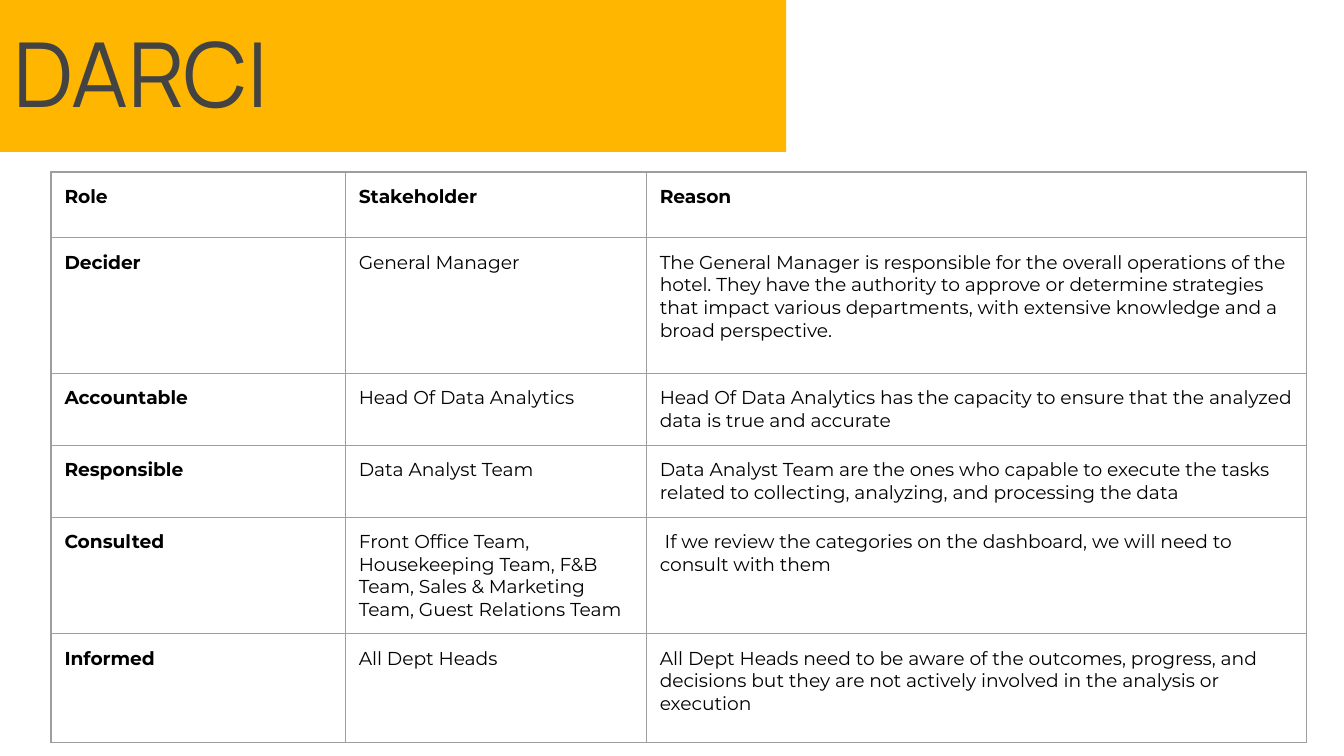
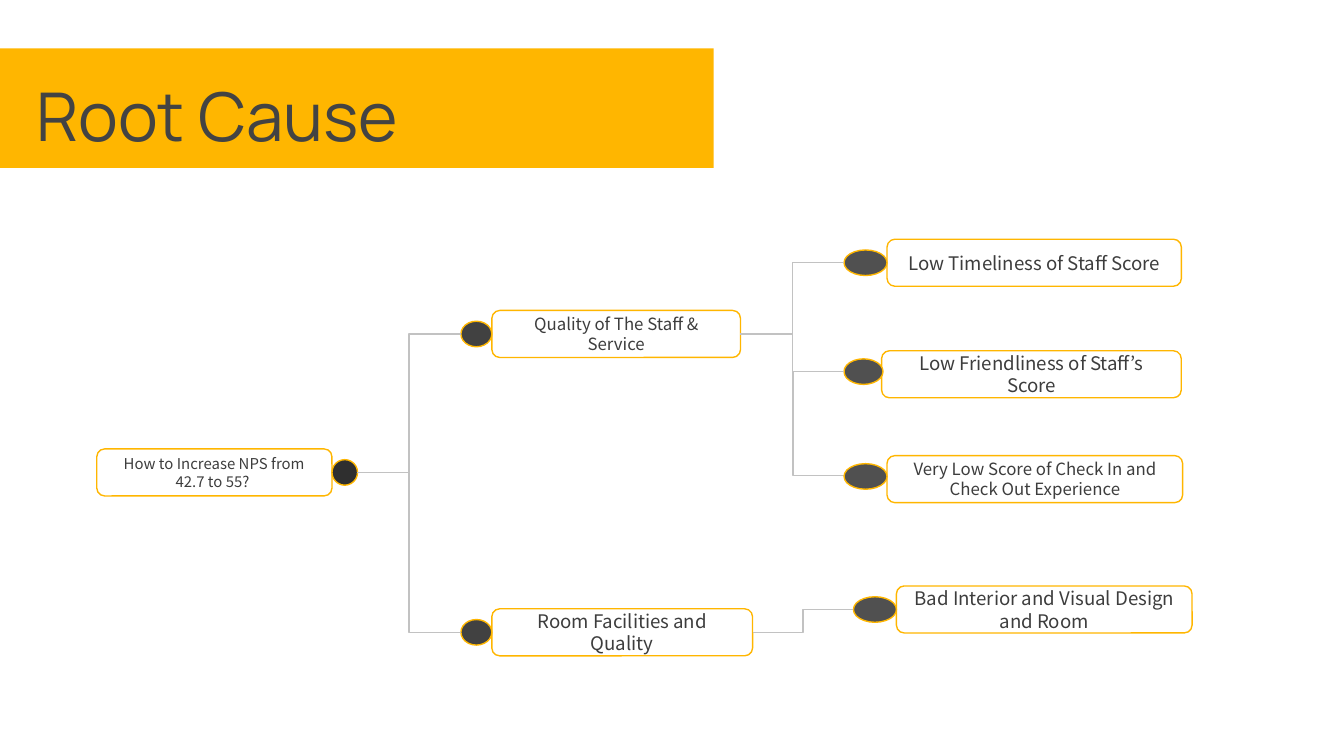
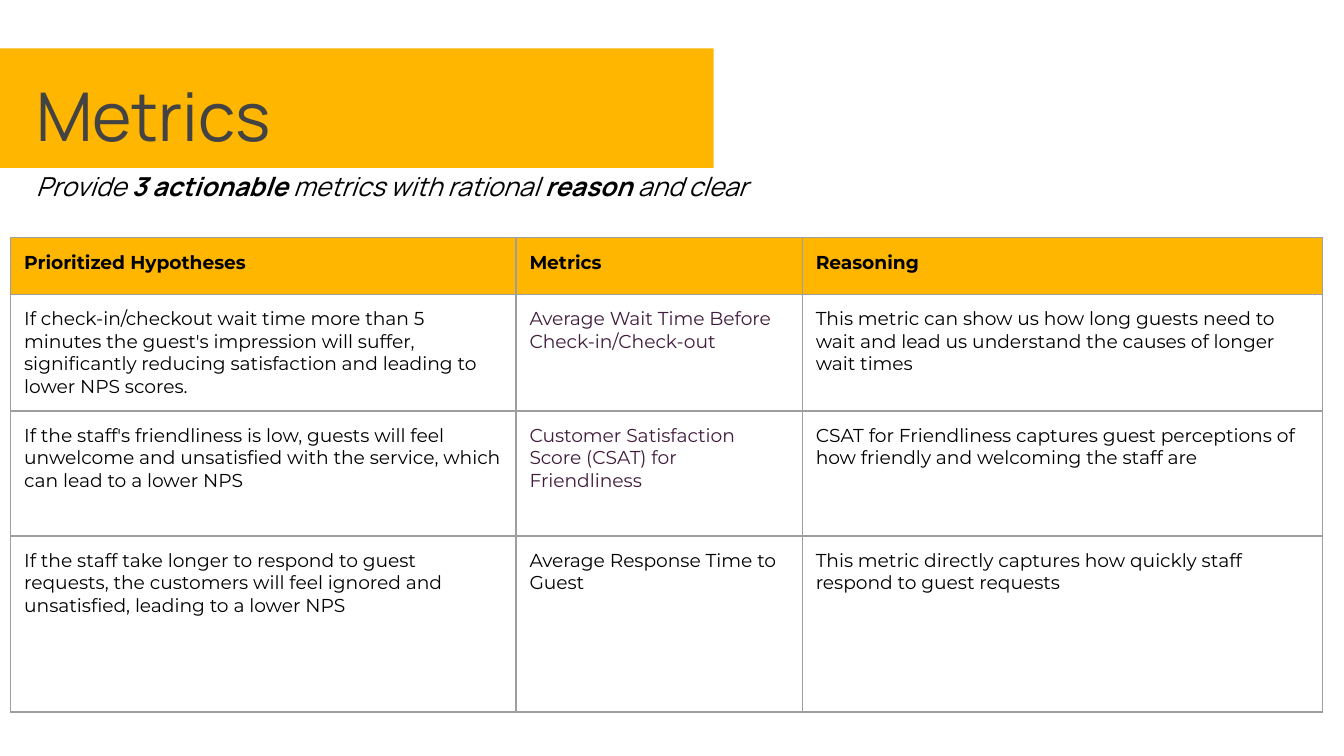
import pptx
import pptx.dml.color
import pptx.enum.shapes
import pptx.enum.text
import pptx.oxml
import pptx.oxml.ns
import pptx.util
from pptx.util import Inches

AMBER, CHARCOAL, BLACK, PLUM = "FFB600", "434343", "000000", "411C3D"
BRANCH_GREY, LEAF_GREY = "414141", "505050"
SHAPES = pptx.enum.shapes.MSO_SHAPE
CENTER = pptx.enum.text.PP_ALIGN.CENTER
MIDDLE = pptx.enum.text.MSO_ANCHOR.MIDDLE


def rgb(value):
    return pptx.dml.color.RGBColor.from_string(value)


def write(frame, text, size=10, font="Montserrat", color=BLACK, bold=False,
          italic=False, align=None, anchor=None, grow=False):
    frame.word_wrap = True
    frame.margin_left = frame.margin_right = Inches(0.1)
    frame.margin_top = frame.margin_bottom = Inches(0.1)
    if anchor is not None:
        frame.vertical_anchor = anchor
    if grow:
        frame.auto_size = pptx.enum.text.MSO_AUTO_SIZE.SHAPE_TO_FIT_TEXT
    paragraph = frame.paragraphs[0]
    paragraph.alignment = align
    pieces = [(text, bold)] if isinstance(text, str) else text
    for words, heavy in pieces:
        run = paragraph.add_run()
        run.text = words
        run.font.size = pptx.util.Pt(size)
        run.font.name = font
        run.font.bold = heavy
        run.font.italic = italic
        run.font.color.rgb = rgb(color)


class Deck:
    heading_font = "Manrope"
    node_font = "Noto Sans CJK KR"
    node_height = 0.35
    dot_height = 0.19
    outline = 0.75

    def __init__(self):
        self.presentation = pptx.Presentation()
        self.presentation.slide_width = Inches(10)
        self.presentation.slide_height = Inches(10) * 9 // 16
        self.slide = None

    def add_slide(self):
        self.slide = self.presentation.slides.add_slide(self.presentation.slide_layouts[6])

    def shape(self, kind, box, fill=None, line=None):
        shape = self.slide.shapes.add_shape(kind, *map(Inches, box))
        shape.shadow.inherit = False
        if fill:
            shape.fill.solid()
            shape.fill.fore_color.rgb = rgb(fill)
        else:
            shape.fill.background()
        if line:
            shape.line.color.rgb = rgb(line)
            shape.line.width = pptx.util.Pt(self.outline)
        else:
            shape.line.fill.background()
        return shape

    def text(self, box, text, **style):
        frame = self.slide.shapes.add_textbox(*map(Inches, box)).text_frame
        write(frame, text, font=self.heading_font, grow=True, **style)

    def title(self, text, band=(0, 0.36, 5.31, 0.89), box=(0.17, 0.45, 6.11, 0.81), size=36):
        self.shape(SHAPES.RECTANGLE, band, fill=AMBER)
        self.text(box, text, size=size, color=CHARCOAL)

    def node(self, text, left, top, width, size, dot_left, dot_width, dot_color, dot_drop=0.08):
        box = self.shape(SHAPES.ROUNDED_RECTANGLE, (left, top, width, self.node_height), line=AMBER)
        write(box.text_frame, text, size=size, font=self.node_font, color="3D3D3D",
              align=CENTER, anchor=MIDDLE)
        dot = self.shape(SHAPES.OVAL, (dot_left, top + dot_drop, dot_width, self.dot_height),
                         fill=dot_color, line=AMBER)
        return box, dot

    def elbow(self, start, end, bend=None):
        line = self.slide.shapes.add_connector(
            pptx.enum.shapes.MSO_CONNECTOR.ELBOW, *start, *end)
        line.line.color.rgb = rgb("C2C2C2")
        line.line.width = pptx.util.Pt(self.outline)
        properties = line._element.spPr
        properties.append(pptx.oxml.parse_xml(
            f'<a:effectLst {pptx.oxml.ns.nsdecls("a")}/>'))
        if bend is not None:
            guides = properties.find(".//" + pptx.oxml.ns.qn("a:avLst"))
            guides.append(pptx.oxml.parse_xml(
                f'<a:gd {pptx.oxml.ns.nsdecls("a")} name="adj1" fmla="val {bend}"/>'))

    def link(self, source, target):
        self.elbow((source.left + source.width, source.top + source.height // 2),
                   (target.left, target.top + target.height // 2))

    def border(self, cell):
        properties = cell._tc.get_or_add_tcPr()
        for side in "LRTB":
            properties.append(pptx.oxml.parse_xml(
                f'<a:ln{side} {pptx.oxml.ns.nsdecls("a")} w="{pptx.util.Pt(self.outline)}">'
                f'<a:solidFill><a:srgbClr val="9E9E9E"/></a:solidFill></a:ln{side}>'))

    def table(self, left, top, widths, heights, rows, header_fill=None, bold_labels=False,
              accents=()):
        table = self.slide.shapes.add_table(
            len(rows), len(widths), Inches(left), Inches(top),
            Inches(sum(widths)), Inches(sum(heights))).table
        table.first_row = table.horz_banding = False
        for column, width in zip(table.columns, widths):
            column.width = Inches(width)
        for i, (height, texts) in enumerate(zip(heights, rows)):
            table.rows[i].height = Inches(height)
            for j, text in enumerate(texts):
                cell = table.cell(i, j)
                self.border(cell)
                if header_fill and i == 0:
                    cell.fill.solid()
                    cell.fill.fore_color.rgb = rgb(header_fill)
                else:
                    cell.fill.background()
                cell.margin_left = cell.margin_right = Inches(0.1)
                cell.margin_top = cell.margin_bottom = Inches(0.1)
                write(cell.text_frame, text, bold=i == 0 or (bold_labels and j == 0),
                      color=PLUM if (i, j) in accents else BLACK)


def darci(deck):
    deck.add_slide()
    deck.title("DARCI", band=(0, -0.05, 5.85, 1.18), box=(0, 0.03, 3.28, 1.01), size=48)
    roles = [
        ("Role", "Stakeholder", "Reason"),
        ("Decider", "General Manager",
         "The General Manager is responsible for the overall operations of the hotel. "
         "They have the authority to approve or determine strategies that impact various "
         "departments, with extensive knowledge and a broad perspective."),
        ("Accountable", "Head Of Data Analytics",
         "Head Of Data Analytics has the capacity to ensure that the analyzed data is true "
         "and accurate"),
        ("Responsible", "Data Analyst Team",
         "Data Analyst Team are the ones who capable to execute the tasks related to "
         "collecting, analyzing, and processing the data"),
        ("Consulted",
         "Front Office Team, Housekeeping Team, F&B Team, Sales & Marketing Team, "
         "Guest Relations Team",
         " If we review the categories on the dashboard, we will need to consult with them"),
        ("Informed", "All Dept Heads",
         "All Dept Heads need to be aware of the outcomes, progress, and decisions but they "
         "are not actively involved in the analysis or execution"),
    ]
    deck.table(0.38, 1.28, [2.19, 2.24, 4.91], [0.49, 1.01, 0.5, 0.5, 0.66, 0.81], roles,
               bold_labels=True)


def root_cause(deck):
    deck.add_slide()
    deck.title("Root Cause")
    _, question = deck.node("How to Increase NPS from 42.7 to 55? ", 0.72, 3.34, 1.75, 8,
                            2.47, 0.19, "2F2F2F")
    staff, staff_dot = deck.node("Quality of The Staff & Service", 3.66, 2.31, 1.85, 9,
                                 3.43, 0.23, BRANCH_GREY)
    room, room_dot = deck.node("Room Facilities and Quality", 3.66, 4.53, 1.94, 10,
                               3.43, 0.23, BRANCH_GREY)
    _, timeliness = deck.node("Low Timeliness of Staff Score", 6.6, 1.78, 2.19, 10,
                              6.28, 0.32, LEAF_GREY)
    _, friendliness = deck.node("Low Friendliness of Staff’s Score", 6.56, 2.61, 2.23, 10,
                                6.28, 0.29, LEAF_GREY, dot_drop=0.06)
    _, interior = deck.node("Bad Interior and Visual Design and Room", 6.67, 4.36, 2.2, 10,
                            6.35, 0.32, LEAF_GREY)
    for source, target in [(question, room_dot), (question, staff_dot), (staff, timeliness),
                           (staff, friendliness), (room, interior)]:
        deck.link(source, target)
    deck.elbow((Inches(5.9), Inches(2.76)), (Inches(6.49), Inches(3.54)), bend=0)
    deck.node("Very Low Score of Check In and Check Out Experience", 6.6, 3.39, 2.2, 9,
              6.28, 0.32, LEAF_GREY, dot_drop=0.06)


def metrics(deck):
    deck.add_slide()
    deck.title("Metrics")
    deck.text((0.17, 1.17, 5.65, 0.44),
              [("Provide ", False), ("3 actionable ", True), ("metrics with rational ", False),
               ("reason ", True), ("and clear", False)], size=14, italic=True)
    hypotheses = [
        ("Prioritized Hypotheses", "Metrics", "Reasoning"),
        ("If check-in/checkout wait time more than 5 minutes the guest's impression will "
         "suffer, significantly reducing satisfaction and leading to lower NPS scores.",
         "Average Wait Time Before Check-in/Check-out",
         "This metric can show us how long guests need to wait and lead us understand the "
         "causes of longer wait times"),
        ("If the staff's friendliness is low, guests will feel unwelcome and unsatisfied "
         "with the service, which can lead to a lower NPS",
         "Customer Satisfaction Score (CSAT) for Friendliness",
         "CSAT for Friendliness captures guest perceptions of how friendly and welcoming "
         "the staff are"),
        ("If the staff take longer to respond to guest requests, the customers will feel "
         "ignored and unsatisfied, leading to a lower NPS",
         "Average Response Time to Guest",
         "This metric directly captures how quickly staff respond to guest requests"),
    ]
    deck.table(0.08, 1.77, [3.76, 2.13, 3.87], [0.42, 0.78, 0.93, 1.31], hypotheses,
               header_fill=AMBER, accents={(1, 1), (2, 1)})


def main():
    deck = Deck()
    darci(deck)
    root_cause(deck)
    metrics(deck)
    deck.presentation.save("out.pptx")


if __name__ == "__main__":
    main()
